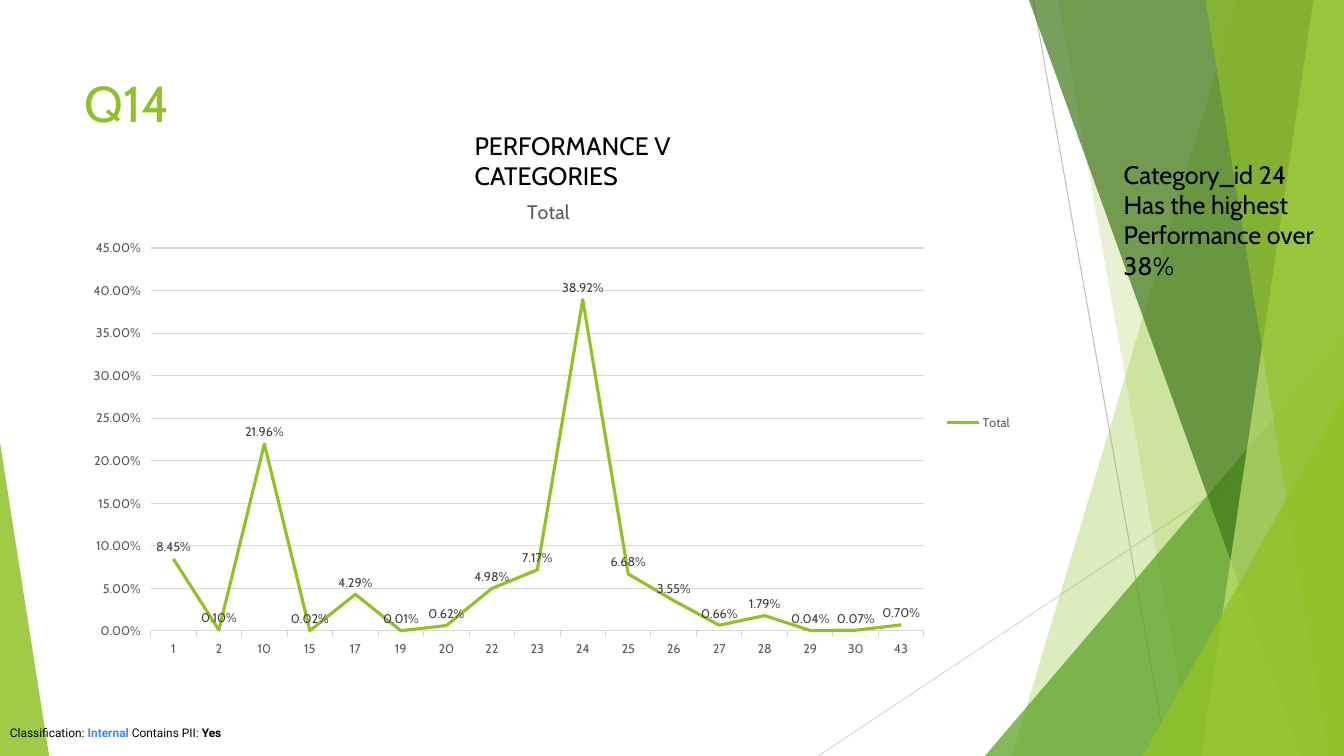
from lxml import etree
from pptx import Presentation
from pptx.chart.data import CategoryChartData
from pptx.dml.color import RGBColor
from pptx.enum import chart as ch, shapes as sh, text as tx
from pptx.oxml.ns import qn
from pptx.util import Cm, Pt

LIME = RGBColor(0x90, 0xC2, 0x26)
GREEN = RGBColor(0x54, 0xA0, 0x21)
FOREST = RGBColor(0x3F, 0x78, 0x19)
PALE_LIME = RGBColor(0xC0, 0xE4, 0x74)
BLUE = RGBColor(0x42, 0x85, 0xF4)
BLACK = RGBColor(0, 0, 0)
LABEL_GREY = RGBColor(0x40, 0x40, 0x40)
AXIS_GREY = RGBColor(0x59, 0x59, 0x59)
MID_GREY = RGBColor(0xBF, 0xBF, 0xBF)
LIGHT_GREY = RGBColor(0xD9, 0xD9, 0xD9)
WIDTH, HEIGHT = Cm(33.87), Cm(19.05)


def set_font(font, size, color, name="Cabin", bold=False):
    font.size, font.name, font.bold = Pt(size), name, bold
    font.color.rgb = color


def add_text(frame, lines, size, name="Cabin"):
    """Write lines, each a list of (wording, colour, bold) runs."""
    frame.word_wrap = True
    for number, runs in enumerate(lines):
        paragraph = frame.add_paragraph() if number else frame.paragraphs[0]
        paragraph.alignment = tx.PP_ALIGN.LEFT
        for wording, color, bold in runs:
            run = paragraph.add_run()
            run.text = wording
            set_font(run.font, size, color, name, bold)


deck = Presentation()
deck.slide_width, deck.slide_height = WIDTH, HEIGHT
slide = deck.slides.add_slide(deck.slide_layouts[5])

# Thin lines behind the facets
for x1, y1, x2, y2, color in [
    (26.04, 0, 29.41, 19.05, MID_GREY),
    (33.87, 10.24, 20.62, 19.05, LIGHT_GREY),
]:
    ray = slide.shapes.add_connector(
        sh.MSO_CONNECTOR.STRAIGHT, Cm(x1), Cm(y1), Cm(x2), Cm(y2))
    ray.line.color.rgb, ray.line.width = color, Pt(0.75)
    etree.SubElement(ray._element.spPr, qn("a:effectLst"))

# Panes: top x, bottom x, running to the right edge.
# Triangles: left, top, width, apex position, standing on the bottom edge.
facets = [
    ((31.19, 25.5), LIME, 30),
    ((26.67, 30.05), LIME, 20),
    ((24.82, 8.46, 9.05, 1), GREEN, 72),
    ((25.93, 32.79), FOREST, 70),
    ((33.1, 30.28), PALE_LIME, 70),
    ((30.38, 33.48), LIME, 65),
    ((28.8, 9.98, 5.07, 1), LIME, 80),
    ((0, 11.15, 1.24, 0), LIME, 85),
]
for outline, color, opacity in facets:
    if len(outline) == 2:
        top_x, bottom_x = map(Cm, outline)
        pane = slide.shapes.build_freeform(top_x, 0)
        pane.add_line_segments([(WIDTH, 0), (WIDTH, HEIGHT), (bottom_x, HEIGHT)])
        facet = pane.convert_to_shape()
    else:
        left, top, width, apex = outline
        facet = slide.shapes.add_shape(
            sh.MSO_SHAPE.ISOSCELES_TRIANGLE,
            Cm(left), Cm(top), Cm(width), HEIGHT - Cm(top))
        facet.adjustments[0] = apex
    facet.shadow.inherit = False
    facet.line.fill.background()
    facet.fill.solid()
    facet.fill.fore_color.rgb = color
    tint = facet._element.spPr.find(qn("a:solidFill"))[0]
    etree.SubElement(tint, qn("a:alpha"), val=str(opacity * 1000))

# Title
title = slide.shapes.title
title.left, title.top, title.width, title.height = Cm(1.88), Cm(1.7), Cm(23.88), Cm(2.21)
title.text_frame.vertical_anchor = tx.MSO_ANCHOR.TOP
add_text(title.text_frame, [[("Q14", LIME, False)]], 36)

# Performance chart
performance = {
    "1": 0.0845, "2": 0.001, "10": 0.2196, "15": 0.0002, "17": 0.0429,
    "19": 0.0001, "20": 0.0062, "22": 0.0498, "23": 0.0717, "24": 0.3892,
    "25": 0.0668, "26": 0.0355, "27": 0.0066, "28": 0.0179, "29": 0.0004,
    "30": 0.0007, "43": 0.007,
}
data = CategoryChartData(number_format="0.00%")
data.categories = list(performance)
data.add_series("Total", list(performance.values()))
chart = slide.shapes.add_chart(
    ch.XL_CHART_TYPE.LINE_STACKED, Cm(1.88), Cm(4.52), Cm(23.88), Cm(12.27), data).chart
set_font(chart.font, 10, BLACK)

chart.has_title = True
add_text(chart.chart_title.text_frame, [[("Total", AXIS_GREY, False)]], 14)
chart.chart_title.include_in_layout = False

chart.has_legend = True
chart.legend.position = ch.XL_LEGEND_POSITION.RIGHT
chart.legend.include_in_layout = False
set_font(chart.legend.font, 9, AXIS_GREY)

categories, percents = chart.category_axis, chart.value_axis
for axis in (categories, percents):
    axis.major_tick_mark = ch.XL_TICK_MARK.OUTSIDE
    set_font(axis.tick_labels.font, 9, AXIS_GREY)
percents.minimum_scale, percents.maximum_scale, percents.major_unit = 0, 0.45, 0.05
percents.tick_labels.number_format = "0.00%"
percents.tick_labels.number_format_is_linked = False
percents.format.line.fill.background()
percents.has_major_gridlines = True
for rule in (categories.format.line, percents.major_gridlines.format.line):
    rule.color.rgb, rule.width = LIGHT_GREY, Pt(0.75)

plot = chart.plots[0]
plot.vary_by_categories = False
total = plot.series[0]
total.smooth = False
total.marker.style = ch.XL_MARKER_STYLE.NONE
total.format.line.color.rgb, total.format.line.width = LIME, Pt(2.25)
labels = total.data_labels
labels.show_value = True
labels.position = ch.XL_LABEL_POSITION.ABOVE
labels.number_format, labels.number_format_is_linked = "0.00%", False
set_font(labels.font, 9, LABEL_GREY)

# Chart heading, finding and classification line
finding = ["Category_id 24", "Has the highest", "Performance over", "38%"]
classification = [("Classification: ", BLACK, False), ("Internal", BLUE, True),
                  (" Contains PII: ", BLACK, False), ("Yes", BLACK, True)]
for left, top, width, height, lines, size, name, anchor in [
    (11.71, 3.15, 8.94, 1.02, [[("PERFORMANCE V CATEGORIES", BLACK, False)]],
     18, "Cabin", tx.MSO_ANCHOR.TOP),
    (28.07, 3.89, 5.61, 3.33, [[(line, BLACK, False)] for line in finding],
     18, "Cabin", tx.MSO_ANCHOR.TOP),
    (0, 18.16, 33.87, 0.61, [classification], 8.5, "Roboto", tx.MSO_ANCHOR.MIDDLE),
]:
    frame = slide.shapes.add_textbox(Cm(left), Cm(top), Cm(width), Cm(height)).text_frame
    frame.vertical_anchor = anchor
    frame.auto_size = tx.MSO_AUTO_SIZE.SHAPE_TO_FIT_TEXT
    add_text(frame, lines, size, name)

deck.save("out.pptx")
